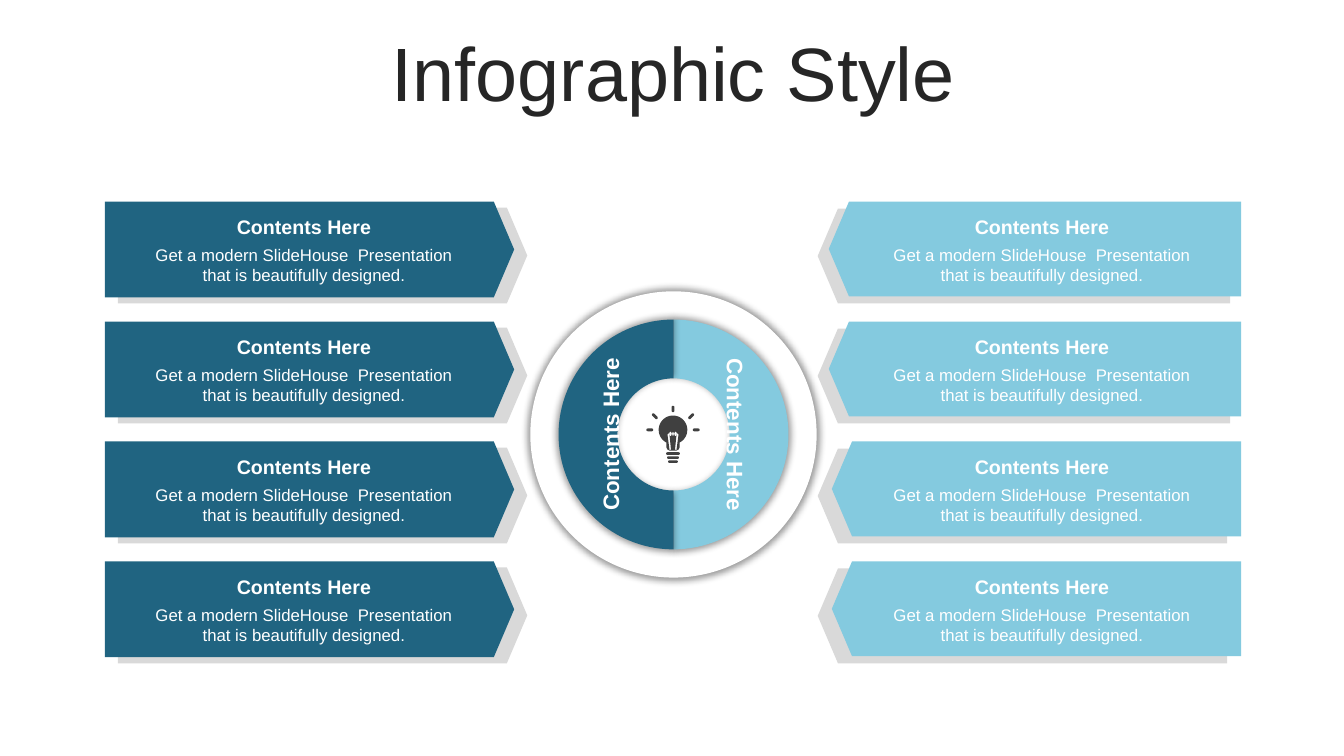
"""Build the infographic slide with eight arrow panels around a light bulb."""
import math

import lxml.etree
import pptx
import pptx.dml.color
import pptx.enum.shapes
import pptx.enum.text
import pptx.oxml.ns
import pptx.util

SCALE = 9144
RGB = pptx.dml.color.RGBColor
WHITE = RGB(0xFF, 0xFF, 0xFF)
INK = RGB(0x26, 0x26, 0x26)
ICON = RGB(0x40, 0x40, 0x40)
NAVY = RGB(0x20, 0x64, 0x81)
SKY = RGB(0x84, 0xCA, 0xDF)
GREY = RGB(0xD9, 0xD9, 0xD9)

SHAPES = pptx.enum.shapes.MSO_SHAPE
ANCHOR = pptx.enum.text.MSO_ANCHOR
CENTER = pptx.enum.text.PP_ALIGN.CENTER

TITLE = "Infographic Style"
HEADING = "Contents Here"
BODY = "Get a modern SlideHouse  Presentation that is beautifully designed."
ROW_PITCH = 119
SHADE_BOTTOM = 101
AXIS = 667.5
BULB_Y = 426.5


class Slide:
    """Hold the style and the current page."""

    def __init__(self, deck):
        self.page = deck.slides.add_slide(deck.slide_layouts[6])
        self.font = {"name": "Arial", "bold": False}

    def emu(self, *lengths):
        """Turn px lengths into EMU."""
        return [round(length * SCALE) for length in lengths]

    def paint(self, shape, color):
        """Give a shape a plain fill without line or shadow."""
        shape.fill.solid()
        shape.fill.fore_color.rgb = color
        shape.line.fill.background()
        shape.shadow.inherit = False

    def shape(self, kind, frame, color, adjust=(), rotation=0, glow=False):
        """Add a preset shape, with a soft shadow if glow is set."""
        shape = self.page.shapes.add_shape(kind, *self.emu(*frame))
        self.paint(shape, color)
        shape.rotation = rotation
        for index, value in enumerate(adjust):
            shape.adjustments[index] = value
        if glow:
            self.glow(shape)

    def glow(self, shape):
        """Add a soft black shadow, slightly larger than the shape."""
        qn = pptx.oxml.ns.qn
        effects = shape._element.spPr.find(qn("a:effectLst"))
        outer = lxml.etree.SubElement(
            effects, qn("a:outerShdw"), blurRad=str(pptx.util.Pt(5)),
            sx="102000", sy="102000", algn="ctr", rotWithShape="0")
        tint = lxml.etree.SubElement(outer, qn("a:srgbClr"), val="000000")
        lxml.etree.SubElement(tint, qn("a:alpha"), val="40000")

    def text(self, words, frame, size, color=WHITE, rotation=0,
             anchor=ANCHOR.TOP, spacing=None, **extra):
        """Add a centred text box."""
        box = self.page.shapes.add_textbox(*self.emu(*frame))
        box.rotation = rotation
        box.text_frame.word_wrap = True
        box.text_frame.vertical_anchor = anchor
        para = box.text_frame.paragraphs[0]
        para.alignment = CENTER
        para.line_spacing = spacing
        span = para.add_run()
        span.text = words
        style = {**self.font, "size": pptx.util.Pt(size), **extra}
        for name, value in style.items():
            setattr(span.font, name, value)
        span.font.color.rgb = color

    def outline(self, contours, color):
        """Add one freeform made of closed contours in px."""
        builder = None
        for contour in contours:
            start, *rest = [self.emu(*point) for point in contour]
            if builder is None:
                builder = self.page.shapes.build_freeform(*start, scale=1.0)
            else:
                builder.move_to(*start)
            builder.add_line_segments(rest, close=True)
        self.paint(builder.convert_to_shape(), color)


def arc(x, y, radius, start, end, steps):
    """Return points along an arc given in degrees."""
    angles = [math.radians(start + (end - start) * step / steps)
              for step in range(steps + 1)]
    return [(x + radius * math.cos(angle), y + radius * math.sin(angle))
            for angle in angles]


def capsule(x1, y1, x2, y2, radius):
    """Return the outline of a round-ended bar."""
    turn = math.degrees(math.atan2(y2 - y1, x2 - x1))
    return (arc(x2, y2, radius, turn - 90, turn + 90, 8)
            + arc(x1, y1, radius, turn + 90, turn + 270, 8))


def mirrored(points):
    """Return points reflected across the bulb axis, in reverse order."""
    return [(2 * AXIS - x, y) for x, y in reversed(points)]


def bulb_contours():
    """Return the contours of the light bulb icon."""
    neck = [(661, 440), (661, 444), (662, 446), (664, 447)]
    glass = arc(AXIS, BULB_Y, 14.2, 63, -243, 40) + neck + mirrored(neck)
    wire = [(667.5, 433), (667, 432), (667, 431), (666, 431), (666, 432),
            (665, 433), (664, 432), (664, 431), (665.5, 446), (664.5, 447),
            (664, 446), (662, 431), (663, 430), (664, 430), (664, 429),
            (665, 428), (666, 429), (666, 430), (667, 430), (667, 429),
            (667.5, 428)]
    base = [capsule(AXIS - half, y, AXIS + half, y, 1.3)
            for half, y in ((5.5, 450), (4.5, 454), (3.5, 458))]
    side_rays = [capsule(*ray, 1.4) for ray in
                 ((642.5, BULB_Y, 646.5, BULB_Y), (648, 411.5, 651, 414.5))]
    rays = side_rays + [mirrored(ray) for ray in side_rays]
    top_ray = capsule(AXIS, 404, AXIS, 407.5, 1.4)
    return [glass, wire + mirrored(wire), *base, *rays, top_ray]


def main():
    """Draw the slide and save it."""
    deck = pptx.Presentation()
    deck.slide_width, deck.slide_height = 1333 * SCALE, 750 * SCALE
    slide = Slide(deck)
    slide.text(TITLE, (35, 37, 1266, 79), 54, INK,
               anchor=ANCHOR.MIDDLE, spacing=0.9)

    slide.shape(SHAPES.OVAL, (526, 289, 284, 284), WHITE, glow=True)
    for color, angles in ((SKY, (162, 54)), (NAVY, (54, 162))):
        slide.shape(SHAPES.BLOCK_ARC, (554, 317, 228, 228), color,
                    (*angles, 0.256), glow=True)

    for row in range(4):
        top = 200 + row * ROW_PITCH
        right_x, right_width = (822, 409) if row < 2 else (825, 406)
        panels = ((104, 117, 406, 95, NAVY, 0, 134),
                  (right_x, 811, right_width, 94, SKY, 180, 866))
        for face_x, shade_x, width, height, color, rotation, text_x in panels:
            shade_y = top + SHADE_BOTTOM - height
            for x, y, fill in ((shade_x, shade_y, GREY), (face_x, top, color)):
                slide.shape(SHAPES.PENTAGON, (x, y, width, height), fill,
                            (0.213,), rotation)
            slide.text(BODY, (text_x, top + 38, 335, 53), 12)
            slide.text(HEADING, (text_x, top + 8, 335, 28), 14, bold=True)

    for center_x, rotation in ((604, 270), (731, 90)):
        slide.text(HEADING, (center_x - 126, 414, 252, 34), 16,
                   rotation=rotation, bold=True)
    slide.outline(bulb_contours(), ICON)
    deck.save("out.pptx")


if __name__ == "__main__":
    main()
